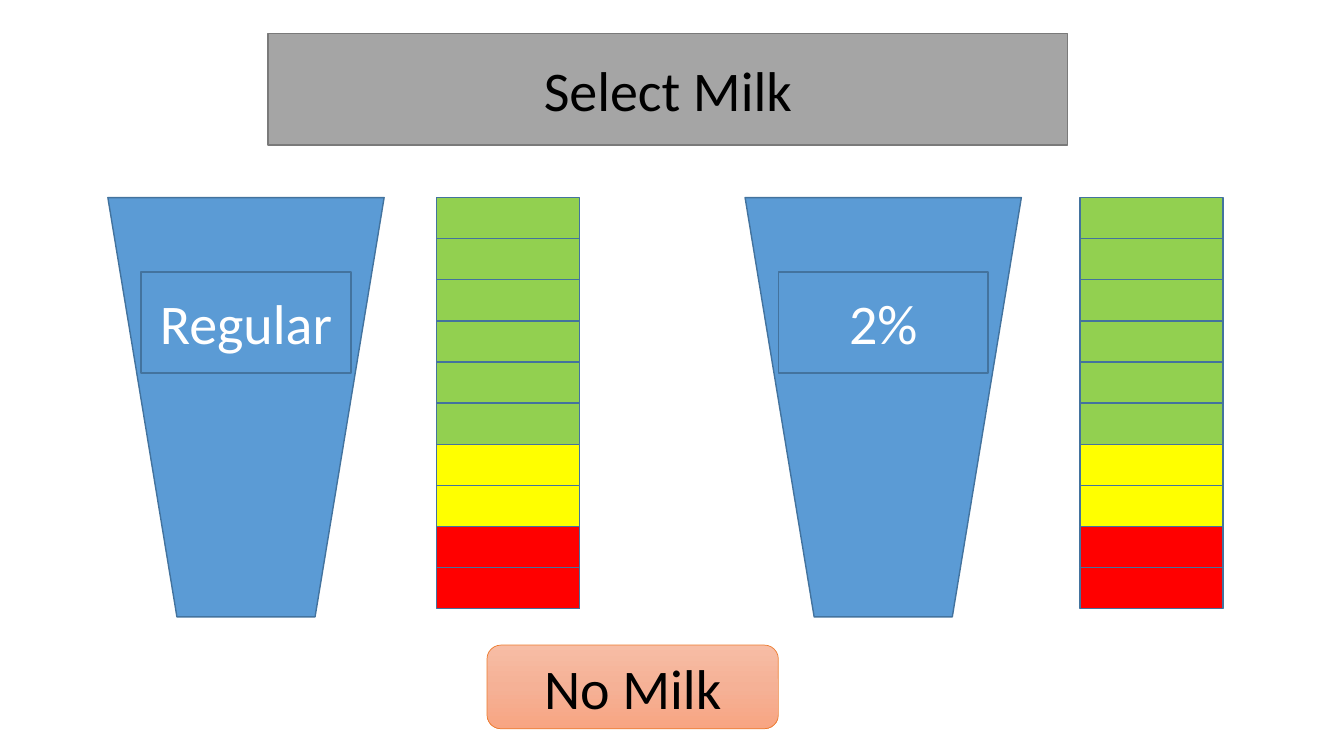
from copy import deepcopy

from pptx import Presentation
from pptx.dml.color import RGBColor
from pptx.enum.shapes import MSO_SHAPE
from pptx.enum.text import MSO_ANCHOR, PP_ALIGN
from pptx.oxml.ns import qn
from pptx.util import Inches, Pt

RECT = MSO_SHAPE.RECTANGLE
ROUNDED = MSO_SHAPE.ROUNDED_RECTANGLE
TRAPEZOID = MSO_SHAPE.TRAPEZOID
PROCESS = MSO_SHAPE.FLOWCHART_PROCESS
MIDDLE = MSO_ANCHOR.MIDDLE
CENTER = PP_ALIGN.CENTER

COLORS = {
    "black": "000000", "white": "FFFFFF",
    "gray": "A5A5A5", "gray_line": "7A7A7A",
    "blue": "5B9BD5", "blue_line": "43739E",
    "green": "92D050", "yellow": "FFFF00", "red": "FF0000",
    "orange_line": "ED7D31",
    "peach_top": "F7BDA5", "peach_mid": "F5B196", "peach_bottom": "F8A582",
}


def rgb(name):
    return RGBColor.from_string(COLORS[name])


def add_box(kind, left, top, width, height, text="", fill="blue",
            line="blue_line", line_width=1, color="white", size=40):
    sp = s.shapes.add_shape(kind, Inches(left), Inches(top),
                            Inches(width), Inches(height))
    sp.shadow.inherit = False
    sp.fill.solid()
    sp.fill.fore_color.rgb = rgb(fill)
    sp.line.color.rgb = rgb(line)
    sp.line.width = Pt(line_width)
    if text:
        tf = sp.text_frame
        tf.word_wrap = True
        tf.vertical_anchor = MIDDLE
        p = tf.paragraphs[0]
        p.alignment = CENTER
        r = p.add_run()
        r.text = text
        r.font.name = "Calibri"
        r.font.size = Pt(size)
        r.font.color.rgb = rgb(color)
    return sp


prs = Presentation()
prs.slide_width = Inches(13.33)
prs.slide_height = Inches(7.5)
s = prs.slides.add_slide(prs.slide_layouts[6])

# Title bar
add_box(RECT, 2.66, 0.33, 7.93, 1.11, "Select Milk",
        fill="gray", line="gray_line", color="black")

# Milk choices: cup, label and level gauge
GAUGE_TOP, CELL_HEIGHT = 1.96, 0.408
LEVELS = ["green"] * 6 + ["yellow"] * 2 + ["red"] * 2
for name, cup_left, gauge_left in [("Regular", 1.07, 4.33), ("2%", 7.39, 10.71)]:
    cup = add_box(TRAPEZOID, cup_left, GAUGE_TOP, 2.74, 4.16)
    cup.rotation = 180
    add_box(RECT, cup_left + 0.33, 2.7, 2.08, 1, name)
    for i, level in enumerate(LEVELS):
        add_box(PROCESS, gauge_left, GAUGE_TOP + i * CELL_HEIGHT,
                1.42, CELL_HEIGHT, fill=level)

# No milk button with a three-stop vertical gradient
button = add_box(ROUNDED, 4.83, 6.4, 2.89, 0.83, "No Milk",
                 line="orange_line", line_width=0.5, color="black")
button.fill.gradient()
button.fill.gradient_angle = 270
stop_list = button._element.spPr.find(qn("a:gradFill")).find(qn("a:gsLst"))
stop_list.insert(1, deepcopy(stop_list[0]))
peaches = ["peach_top", "peach_mid", "peach_bottom"]
for i, (stop, peach) in enumerate(zip(button.fill.gradient_stops, peaches)):
    stop.position = i / 2
    stop.color.rgb = rgb(peach)

prs.save("out.pptx")
